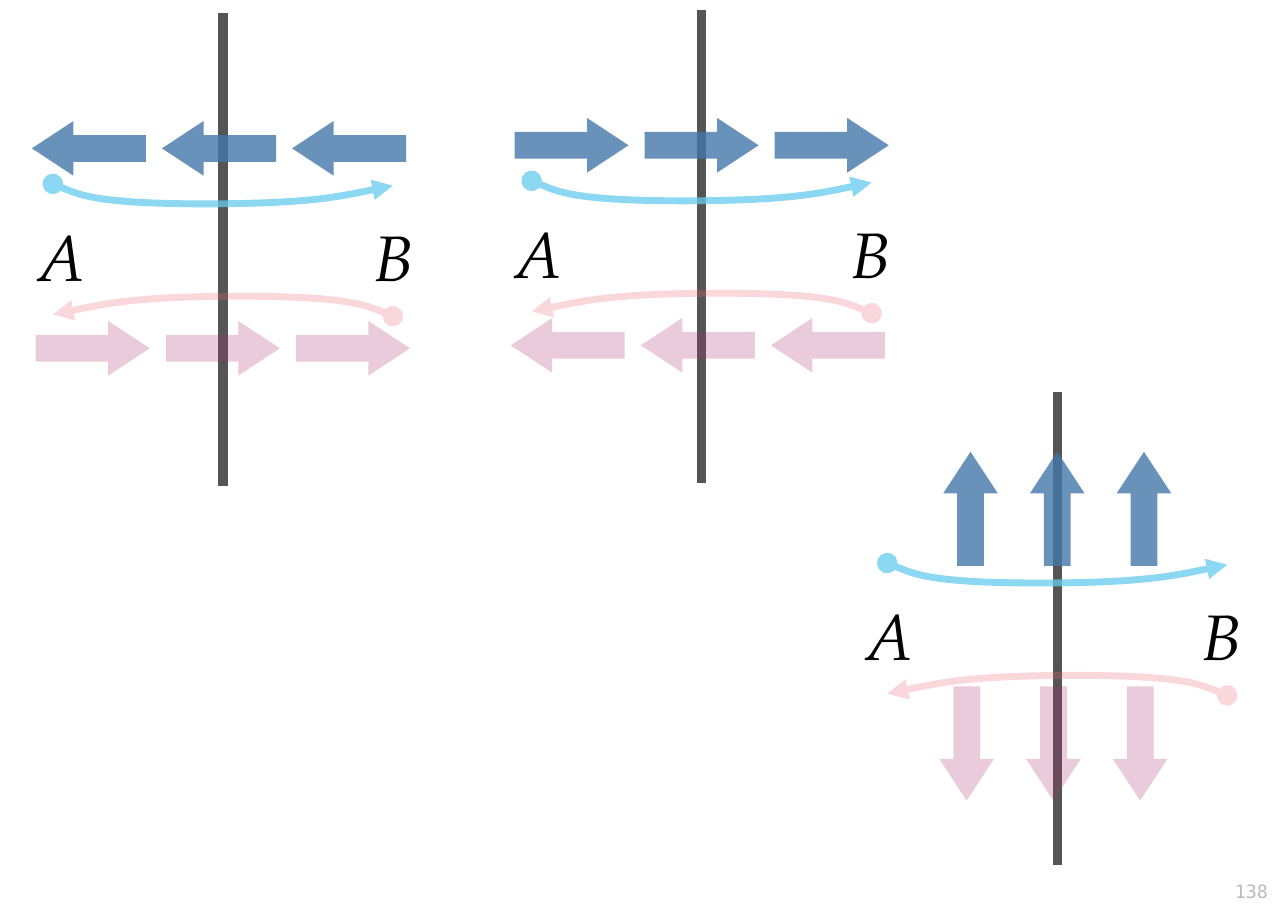
from lxml import etree
from pptx import Presentation
from pptx.dml.color import RGBColor
from pptx.enum.shapes import MSO_CONNECTOR, MSO_SHAPE
from pptx.enum.text import PP_ALIGN
from pptx.oxml import parse_xml
from pptx.oxml.ns import nsdecls, qn
from pptx.util import Cm, Pt

STRAIGHT = MSO_CONNECTOR.STRAIGHT
RIGHT_ARROW = MSO_SHAPE.RIGHT_ARROW
ALIGN_LEFT, ALIGN_RIGHT = PP_ALIGN.LEFT, PP_ALIGN.RIGHT

COLORS = {
    "axis": "555555",
    "blue": "4477AA",
    "purple": "AA3377",
    "cyan": "66CCEE",
    "red": "EE6677",
    "label": "000000",
    "page": "BBBBBB",
}
LABEL_FONT = "TeX Gyre Pagella"
PAGE_FONT = "DejaVu Sans Mono"

PANELS = [
    {"axis": (5.14, 0.3), "step": 3, "label_x": -4.5,
     "blue": (-0.09, 3.12, 180), "purple": (0, 7.73, 0)},
    {"axis": (16.18, 0.23), "step": 3, "label_x": -4.55,
     "blue": (0, 3.12, 0), "purple": (-0.09, 7.73, 180)},
    {"axis": (24.38, 9.04), "step": 2, "label_x": -4.64,
     "blue": (0, 2.69, 270), "purple": (-0.09, 8.1, 90)},
]
ARROW_OPACITY = {"blue": 80, "purple": 25}
LABELS = [("A", 0), ("B", 7.75)]
PAGE_NUMBER = "138"

AXIS_LENGTH = 10.91
ARROW_WIDTH, ARROW_HEIGHT = 2.63, 1.26
LABEL_TOP, LABEL_WIDTH, LABEL_HEIGHT = 4.59, 1.57, 2.26
UPPER_CURVE = [(-3.92, 3.94), (-3.92, 3.94), (-3.1, 4.4), (-0.44, 4.4),
               (2.21, 4.4), (3.92, 3.98), (3.92, 3.98)]
CURVE_MIRROR = 10.93
LOWER_CURVE = [(-x, CURVE_MIRROR - y) for x, y in UPPER_CURVE]
CURVES = [(UPPER_CURVE, "cyan", 75), (LOWER_CURVE, "red", 25)]


def color(name):
    return RGBColor.from_string(COLORS[name])


def set_opacity(parent, percent):
    tint = next(parent.iter(qn("a:srgbClr")))
    etree.SubElement(tint, qn("a:alpha"), val=str(percent * 1000))


def add_axis(slide, x, y):
    axis = slide.shapes.add_connector(STRAIGHT, Cm(x), Cm(y), Cm(x), Cm(y + AXIS_LENGTH))
    axis.line.color.rgb = color("axis")
    axis.line.width = Pt(6)
    axis._element.spPr.append(parse_xml(f"<a:effectLst {nsdecls('a')}/>"))


def add_curve(slide, points, name, opacity):
    start, *rest = [(Cm(x), Cm(y)) for x, y in points]
    builder = slide.shapes.build_freeform(*start)
    builder.add_line_segments(rest, close=False)
    curve = builder.convert_to_shape()
    curve.shadow.inherit = False
    curve.fill.background()
    curve.line.color.rgb = color(name)
    curve.line.width = Pt(4.5)

    outline = next(curve._element.iter(qn("a:path")))
    segments = outline.findall(qn("a:lnTo"))
    for first in range(0, len(segments), 3):
        bezier = etree.SubElement(outline, qn("a:cubicBezTo"))
        for segment in segments[first:first + 3]:
            bezier.append(segment[0])
            outline.remove(segment)

    line = curve._element.spPr.find(qn("a:ln"))
    set_opacity(line, opacity)
    etree.SubElement(line, qn("a:headEnd"), type="oval")
    etree.SubElement(line, qn("a:tailEnd"), type="triangle")


def add_arrow(slide, center_x, center_y, rotation, name):
    arrow = slide.shapes.add_shape(
        RIGHT_ARROW, Cm(center_x - ARROW_WIDTH / 2), Cm(center_y - ARROW_HEIGHT / 2),
        Cm(ARROW_WIDTH), Cm(ARROW_HEIGHT))
    arrow.adjustments[0] = 0.49
    arrow.adjustments[1] = 0.76
    arrow.rotation = rotation
    arrow.shadow.inherit = False
    arrow.fill.solid()
    arrow.fill.fore_color.rgb = color(name)
    arrow.line.fill.background()
    set_opacity(arrow._element.spPr, ARROW_OPACITY[name])


def add_text(slide, text, box, font_name, size, name, alignment, italic=False):
    shape = slide.shapes.add_textbox(*[Cm(length) for length in box])
    shape.text_frame.word_wrap = True
    paragraph = shape.text_frame.paragraphs[0]
    paragraph.text = text
    paragraph.alignment = alignment
    paragraph.font.name = font_name
    paragraph.font.size = Pt(size)
    paragraph.font.italic = italic
    paragraph.font.color.rgb = color(name)


def add_panel(slide, panel):
    left, top = panel["axis"]
    add_axis(slide, left, top)
    for points, name, opacity in CURVES:
        add_curve(slide, [(left + x, top + y) for x, y in points], name, opacity)
    for name in ARROW_OPACITY:
        x, y, rotation = panel[name]
        for index in (-1, 0, 1):
            add_arrow(slide, left + x + index * panel["step"], top + y, rotation, name)
    for text, offset in LABELS:
        box = (left + panel["label_x"] + offset, top + LABEL_TOP, LABEL_WIDTH, LABEL_HEIGHT)
        add_text(slide, text, box, LABEL_FONT, 42, "label", ALIGN_LEFT, italic=True)


def main():
    presentation = Presentation()
    presentation.slide_width, presentation.slide_height = Cm(29.7), Cm(21)
    slide = presentation.slides.add_slide(presentation.slide_layouts[6])
    add_text(slide, PAGE_NUMBER, (26.95, 20.17, 2.54, 0.74), PAGE_FONT, 12, "page", ALIGN_RIGHT)
    for panel in PANELS:
        add_panel(slide, panel)
    presentation.save("out.pptx")


if __name__ == "__main__":
    main()
